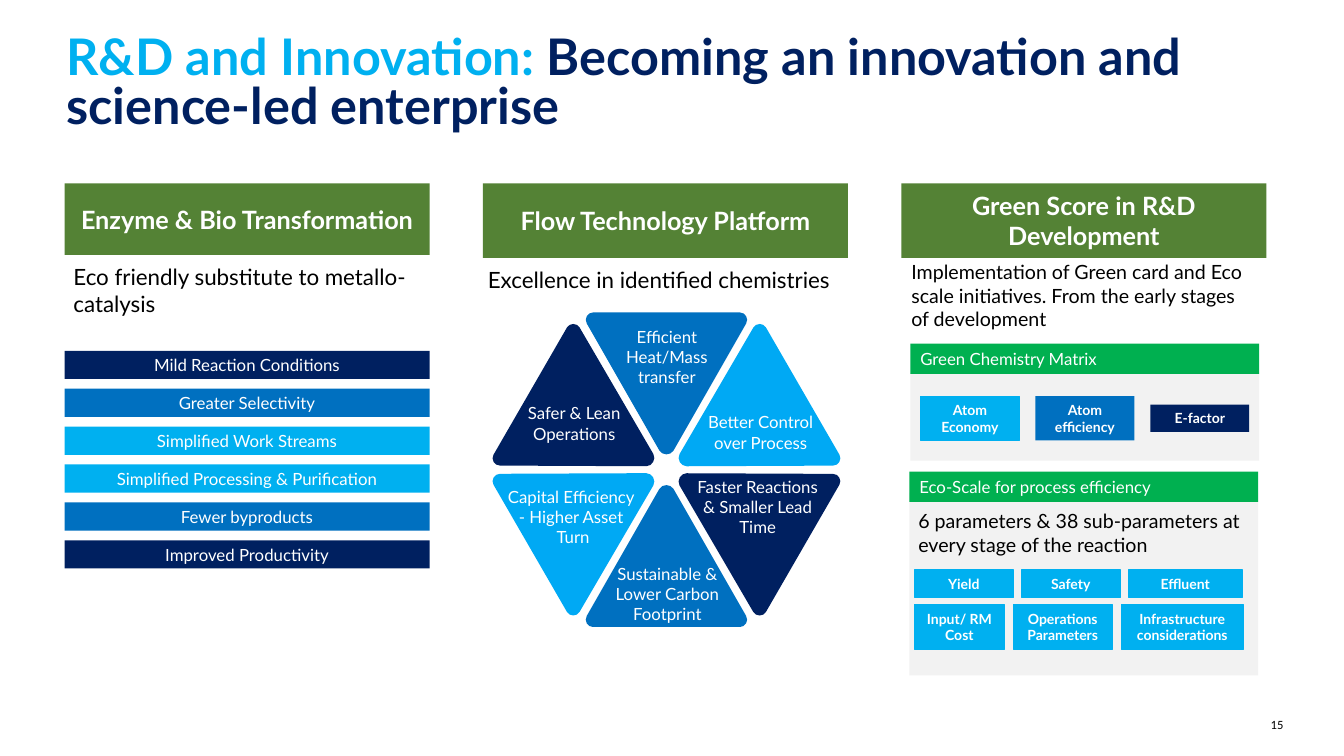
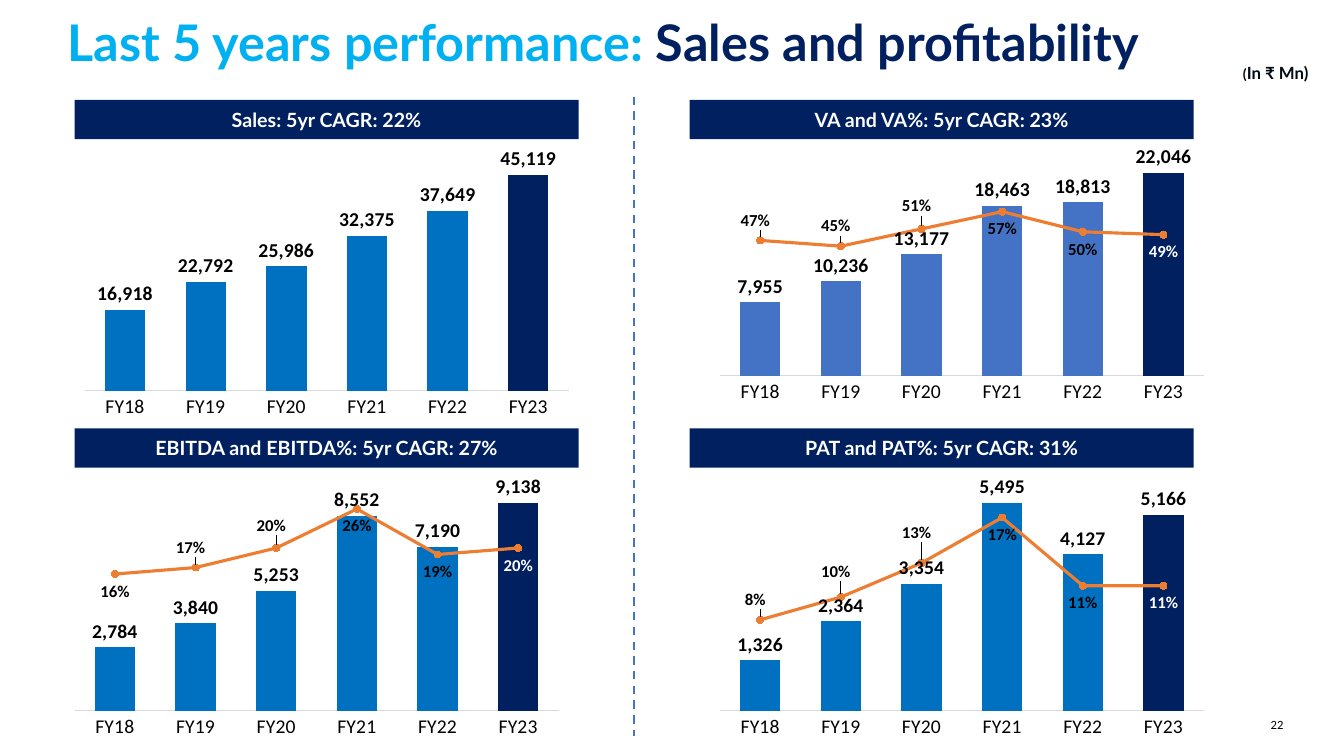
from pptx import Presentation
from pptx.chart.data import CategoryChartData
from pptx.dml.color import RGBColor
from pptx.enum.chart import XL_CHART_TYPE, XL_LABEL_POSITION, XL_MARKER_STYLE, XL_TICK_MARK
from pptx.enum.dml import MSO_LINE
from pptx.enum.shapes import MSO_CONNECTOR, MSO_SHAPE
from pptx.enum.text import MSO_ANCHOR, MSO_AUTO_SIZE, PP_ALIGN
from pptx.oxml import parse_xml
from pptx.oxml.ns import qn
from pptx.util import Inches, Pt
import math

LEFT, CENTER, RIGHT = PP_ALIGN.LEFT, PP_ALIGN.CENTER, PP_ALIGN.RIGHT
TOP, MIDDLE, BOTTOM = MSO_ANCHOR.TOP, MSO_ANCHOR.MIDDLE, MSO_ANCHOR.BOTTOM
RECTANGLE = MSO_SHAPE.RECTANGLE
ABOVE, BELOW = XL_LABEL_POSITION.ABOVE, XL_LABEL_POSITION.BELOW
OUTSIDE_END = XL_LABEL_POSITION.OUTSIDE_END
COLUMNS = XL_CHART_TYPE.COLUMN_CLUSTERED

FONT, NUMBER_FONT = "Lato", "Calibri"
NAVY, BLUE, SKY, AZURE = "002060", "0070C0", "00B0F0", "00A9F4"
OLIVE, GREEN, PALE = "548235", "00B050", "F2F2F2"
INDIGO, ORANGE, RULE = "4472C4", "ED7D31", "D9D9D9"
BLACK, WHITE, INK = "000000", "FFFFFF", "000B14"

YEARS = ["FY18", "FY19", "FY20", "FY21", "FY22", "FY23"]
CHART_SPACE = 'xmlns:c="http://schemas.openxmlformats.org/drawingml/2006/chart"'
DRAWING_SPACE = 'xmlns:a="http://schemas.openxmlformats.org/drawingml/2006/main"'
TRIANGLE_CORNERS = [
    [(-0.79, 1.45), (-0.82, 1.5), (-0.78, 1.56), (-0.73, 1.56)],
    [(0.73, 1.56), (0.78, 1.56), (0.82, 1.5), (0.79, 1.45)],
    [(0.07, 0.19), (0.04, 0.14), (-0.04, 0.14), (-0.07, 0.19)],
]


def color(value):
    return RGBColor.from_string(value)


def style_font(font, size, ink, bold=False, name=FONT):
    font.name, font.size, font.bold = name, Pt(size), bold
    font.color.rgb = color(ink)


def write(shape, text, size=12, ink=WHITE, bold=False, name=FONT, align=LEFT,
          anchor=TOP, spacing=None, margin=None):
    frame = shape.text_frame
    frame.word_wrap = True
    frame.auto_size = MSO_AUTO_SIZE.NONE
    frame.vertical_anchor = anchor
    if margin is not None:
        frame.margin_left = frame.margin_right = Inches(margin)
        frame.margin_top = frame.margin_bottom = Inches(margin)
    if isinstance(text, str):
        lines = [[(line, ink, size)] for line in text.split("\n")]
    else:
        lines = [text]
    for index, spans in enumerate(lines):
        para = frame.add_paragraph() if index else frame.paragraphs[0]
        para.alignment = align
        if spacing:
            para.line_spacing = spacing
        for words, span_ink, span_size in spans:
            span = para.add_run()
            span.text = words
            style_font(span.font, span_size, span_ink, bold, name)


def add_text(page, left, top, width, height, text, **style):
    box = page.shapes.add_textbox(Inches(left), Inches(top), Inches(width), Inches(height))
    write(box, text, **style)


def paint(shape, fill, outline=None):
    shape.shadow.inherit = False
    shape.fill.solid()
    shape.fill.fore_color.rgb = color(fill)
    if outline:
        shape.line.color.rgb = color(outline)
        shape.line.width = Pt(0.75)
    else:
        shape.line.fill.background()


def add_band(page, left, top, width, height, fill, text="", outline=None, **style):
    band = page.shapes.add_shape(RECTANGLE, Inches(left), Inches(top),
                                 Inches(width), Inches(height))
    paint(band, fill, outline)
    if text:
        write(band, text, **{"align": CENTER, "anchor": MIDDLE, **style})


def add_page(deck, left, top, width, height, lead, rest, number):
    page = deck.slides.add_slide(deck.slide_layouts[5])
    title = page.shapes.title
    title.left, title.top = Inches(left), Inches(top)
    title.width, title.height = Inches(width), Inches(height)
    write(title, [(lead, SKY, 36), (rest, NAVY, 36)], bold=True, spacing=0.8)
    add_text(page, 12.37, 7.11, 0.36, 0.15, number, size=9, ink=BLACK,
             name=NUMBER_FONT, align=RIGHT, anchor=BOTTOM, margin=0)
    return page


def add_heading(page, left, top, height, text):
    add_band(page, left, top, 3.62, height, OLIVE, text, size=18, bold=True)


def add_enzyme_column(page, left, top):
    add_heading(page, left, top, 0.71, "Enzyme & Bio Transformation")
    add_text(page, left - 0.01, top + 0.74, 3.62, 0.64,
             "Eco friendly substitute to metallo-catalysis", size=16, ink=BLACK)
    benefits = [("Mild Reaction Conditions", NAVY), ("Greater Selectivity", BLUE),
                ("Simplified Work Streams", SKY),
                ("Simplified Processing & Purification", SKY),
                ("Fewer byproducts", BLUE), ("Improved Productivity", NAVY)]
    pitch = 1.88 / (len(benefits) - 1)
    for index, (text, fill) in enumerate(benefits):
        add_band(page, left, top + 1.66 + index * pitch, 3.62, 0.28, fill, text)


def round_corners(shape):
    outline = shape._element.find(".//" + qn("a:pathLst"))[0]
    steps = outline.findall(qn("a:lnTo"))
    for index in range(0, len(steps), 4):
        curve = parse_xml(f"<a:cubicBezTo {DRAWING_SPACE}/>")
        steps[index].addprevious(curve)
        for step in steps[index:index + 3]:
            curve.append(step[0])
            outline.remove(step)


def add_petal(page, center_x, center_y, degrees, fill):
    points = [(Inches(center_x + x), Inches(center_y + y))
              for corner in TRIANGLE_CORNERS for x, y in corner]
    builder = page.shapes.build_freeform(*points[0])
    builder.add_line_segments(points[1:], close=True)
    petal = builder.convert_to_shape()
    round_corners(petal)
    paint(petal, fill)
    reach, angle = 0.85, math.radians(degrees)
    petal.left = Inches(center_x - reach * math.sin(angle)) - petal.width // 2
    petal.top = Inches(center_y + reach * math.cos(angle)) - petal.height // 2
    petal.rotation = degrees


def add_flow_column(page, left, top):
    add_heading(page, left, top, 0.74, "Flow Technology Platform")
    add_text(page, left - 0.05, top + 0.77, 3.73, 0.37,
             "Excellence in identified chemistries", size=16, ink=BLACK)
    for index, fill in enumerate([BLUE, AZURE, NAVY] * 2):
        add_petal(page, left + 1.82, top + 2.84, index * 60, fill)
    labels = [
        (0.2, 2.13, 1.41, 0.5, "Safer & Lean Operations"),
        (1.12, 1.37, 1.41, 0.71, "Efficient Heat/Mass transfer"),
        (2.09, 2.22, 1.33, 0.5, "Better Control over Process"),
        (0.1, 2.96, 1.55, 0.71, "Capital Efficiency - Higher Asset\n Turn"),
        (2.02, 2.86, 1.41, 0.71, "Faster Reactions & Smaller Lead Time"),
        (1.18, 3.72, 1.3, 0.71, "Sustainable & Lower Carbon Footprint"),
    ]
    for x, y, width, height, text in labels:
        add_text(page, left + x, top + y, width, height, text, align=CENTER)


def add_chips(page, left, middle, gap, chips):
    for text, width, height, fill in chips:
        add_band(page, left, middle - height / 2, width, height, fill, text,
                 outline=SKY if fill == SKY else None, size=10, bold=True)
        left += width + gap


def add_green_column(page, left, top):
    add_heading(page, left, top, 0.74, "Green Score in R&D Development")
    add_text(page, left, top + 0.71, 3.63, 0.81,
             "Implementation of Green card and Eco scale initiatives. "
             "From the early stages of development", size=14, ink=BLACK)
    add_band(page, left + 0.09, top + 1.88, 3.46, 0.87, PALE)
    add_band(page, left + 0.09, top + 1.59, 3.46, 0.3, GREEN,
             "Green Chemistry Matrix", align=LEFT)
    add_chips(page, left + 0.19, top + 2.33, 0.16, [
        ("Atom Economy", 0.98, 0.44, SKY), ("Atom efficiency", 0.98, 0.44, BLUE),
        ("E-factor", 0.98, 0.27, NAVY)])
    add_band(page, left + 0.08, top + 3.07, 3.46, 1.81, PALE)
    add_band(page, left + 0.08, top + 2.86, 3.46, 0.3, GREEN,
             "Eco-Scale for process efficiency", align=LEFT)
    add_text(page, left + 0.07, top + 3.18, 3.46, 0.53,
             "6 parameters & 38 sub-parameters at every stage of the reaction",
             size=14, ink=BLACK)
    add_chips(page, left + 0.13, top + 3.97, 0.08, [
        ("Yield", 0.98, 0.27, SKY), ("Safety", 0.98, 0.27, SKY),
        ("Effluent", 1.13, 0.27, SKY)])
    add_chips(page, left + 0.13, top + 4.4, 0.09, [
        ("Input/ RM Cost", 0.89, 0.44, SKY), ("Operations Parameters", 0.98, 0.44, SKY),
        ("Infrastructure considerations", 1.21, 0.44, SKY)])


def move_to_second_axis(chart, low, high):
    area = chart.plots[0]._element.getparent()
    series = area.findall(".//" + qn("c:ser"))[1]
    series.getparent().remove(series)
    for flag in series.findall(qn("c:invertIfNegative")):
        series.remove(flag)
    line_plot = parse_xml(
        f'<c:lineChart {CHART_SPACE}><c:grouping val="standard"/><c:varyColors val="0"/>'
        '<c:marker val="1"/><c:axId val="9001"/><c:axId val="9002"/></c:lineChart>')
    line_plot.insert(2, series)
    area.find(qn("c:barChart")).addnext(line_plot)
    category_axis = parse_xml(
        f'<c:catAx {CHART_SPACE}><c:axId val="9001"/><c:scaling>'
        '<c:orientation val="minMax"/></c:scaling><c:delete val="1"/>'
        '<c:axPos val="b"/><c:crossAx val="9002"/><c:crosses val="autoZero"/></c:catAx>')
    value_axis = parse_xml(
        f'<c:valAx {CHART_SPACE} {DRAWING_SPACE}><c:axId val="9002"/><c:scaling>'
        f'<c:orientation val="minMax"/><c:max val="{high}"/><c:min val="{low}"/>'
        '</c:scaling><c:delete val="0"/><c:axPos val="r"/>'
        '<c:majorTickMark val="none"/><c:minorTickMark val="none"/>'
        '<c:tickLblPos val="none"/><c:spPr><a:ln><a:noFill/></a:ln></c:spPr>'
        '<c:crossAx val="9001"/><c:crosses val="max"/></c:valAx>')
    area.find(qn("c:valAx")).addnext(value_axis)
    value_axis.addnext(category_axis)


def style_labels(labels, size, number_format, position):
    labels.show_value = True
    labels.number_format, labels.number_format_is_linked = number_format, False
    labels.position = position
    style_font(labels.font, size, BLACK, True, NUMBER_FONT)


def shift_label(series, index, x, y):
    for mark in series._element.findall(f".//{qn('c:dLbl')}/{qn('c:idx')}"):
        if mark.get("val") == str(index):
            mark.addnext(parse_xml(
                f'<c:layout {CHART_SPACE}><c:manualLayout><c:x val="{x}"/>'
                f'<c:y val="{y}"/></c:manualLayout></c:layout>'))


def style_share_line(series, raised):
    series.smooth = False
    series.format.line.color.rgb = color(ORANGE)
    series.format.line.width = Pt(2.25)
    series.marker.style, series.marker.size = XL_MARKER_STYLE.CIRCLE, 5
    series.marker.format.fill.solid()
    series.marker.format.fill.fore_color.rgb = color(ORANGE)
    series.marker.format.line.color.rgb = color(ORANGE)
    style_labels(series.data_labels, 12, "0%", BELOW)
    last = len(YEARS) - 1
    for index in [*raised, last]:
        label = series.points[index].data_label
        style_font(label.font, 12, WHITE if index == last else BLACK, True, NUMBER_FONT)
        label.position = BELOW if index == last else ABOVE
    for index, lift in raised.items():
        shift_label(series, index, -0.01, -lift)


def add_panel(page, left, top, heading, chart_box, amounts, ceiling, fill=BLUE,
              shares=None, share_range=None, raised=None):
    add_band(page, left, top, 5, 0.39, NAVY, heading, size=14, bold=True)
    data = CategoryChartData()
    data.categories = YEARS
    data.add_series("Series 1", amounts, "#,##0")
    if shares:
        data.add_series("Series 2", shares, "0%")
    x, y, height = chart_box
    chart = page.shapes.add_chart(COLUMNS, Inches(left + x), Inches(top + y),
                                  Inches(5), Inches(height), data).chart
    style_font(chart.font, 10, BLACK, name=NUMBER_FONT)
    chart.has_legend = chart.has_title = False
    axis = chart.category_axis
    axis.major_tick_mark = XL_TICK_MARK.NONE
    axis.format.line.color.rgb = color(RULE)
    axis.format.line.width = Pt(0.75)
    style_font(axis.tick_labels.font, 14, BLACK, name=NUMBER_FONT)
    scale = chart.value_axis
    scale.minimum_scale, scale.maximum_scale = 0, ceiling
    scale.has_major_gridlines = scale.visible = False
    if shares:
        move_to_second_axis(chart, *share_range)
        style_share_line(chart.plots[1].series[0], raised)
    plot = chart.plots[0]
    plot.gap_width, plot.vary_by_categories = 100, False
    columns = plot.series[0]
    for part, tint in ((columns, fill), (columns.points[len(YEARS) - 1], NAVY)):
        part.format.fill.solid()
        part.format.fill.fore_color.rgb = color(tint)
    style_labels(columns.data_labels, 14, "#,##0", OUTSIDE_END)


def add_divider(page, left, top, bottom):
    divider = page.shapes.add_connector(MSO_CONNECTOR.STRAIGHT, Inches(left), Inches(top),
                                        Inches(left), Inches(bottom))
    divider.line.color.rgb = color(INDIGO)
    divider.line.width = Pt(1.5)
    divider.line.dash_style = MSO_LINE.DASH
    divider._element.spPr.append(parse_xml(f"<a:effectLst {DRAWING_SPACE}/>"))


def build_innovation(deck):
    page = add_page(deck, 0.56, 0.32, 12.02, 1.09, "R&D and Innovation: ",
                    "Becoming an innovation and science-led enterprise", "15")
    add_enzyme_column(page, 0.64, 1.82)
    add_flow_column(page, 4.79, 1.82)
    add_green_column(page, 8.94, 1.82)


def build_performance(deck):
    page = add_page(deck, 0.57, 0.18, 11.8, 0.6, "Last 5 years performance: ",
                    "Sales and profitability", "22")
    add_text(page, 12.23, 0.57, 1.07, 0.3, [("(", INK, 10), ("In ₹ Mn)", INK, 12)], bold=True)
    add_divider(page, 6.29, 0.96, 7.3)
    add_panel(page, 0.74, 0.99, "Sales: 5yr CAGR: 22%", (0, 0.46, 2.76),
              [16918, 22792, 25986, 32375, 37649, 45119], 50000)
    add_panel(page, 6.84, 0.99, "VA and VA%: 5yr CAGR: 23%", (0.2, 0.4, 2.67),
              [7955, 10236, 13177, 18463, 18813, 22046], 25000, INDIGO,
              [0.47, 0.45, 0.51, 0.57, 0.5, 0.49], (0, 0.8), {0: 0.01, 1: 0.01, 2: 0.02})
    add_panel(page, 0.74, 4.25, "EBITDA and EBITDA%: 5yr CAGR: 27%", (-0.1, 0.46, 2.67),
              [2784, 3840, 5253, 8552, 7190, 9138], 10000, BLUE,
              [0.16, 0.17, 0.2, 0.26, 0.19, 0.2], (-0.05, 0.3), {1: 0.01, 2: 0.02})
    add_panel(page, 6.84, 4.25, "PAT and PAT%: 5yr CAGR: 31%", (0.2, 0.46, 2.67),
              [1326, 2364, 3354, 5495, 4127, 5166], 6000, BLUE,
              [0.08, 0.1, 0.13, 0.17, 0.11, 0.11], (0, 0.2), {0: 0.01, 1: 0.03, 2: 0.05})


def main():
    deck = Presentation()
    deck.slide_width, deck.slide_height = Inches(13.33), Inches(7.5)
    build_innovation(deck)
    build_performance(deck)
    deck.save("out.pptx")


if __name__ == "__main__":
    main()
